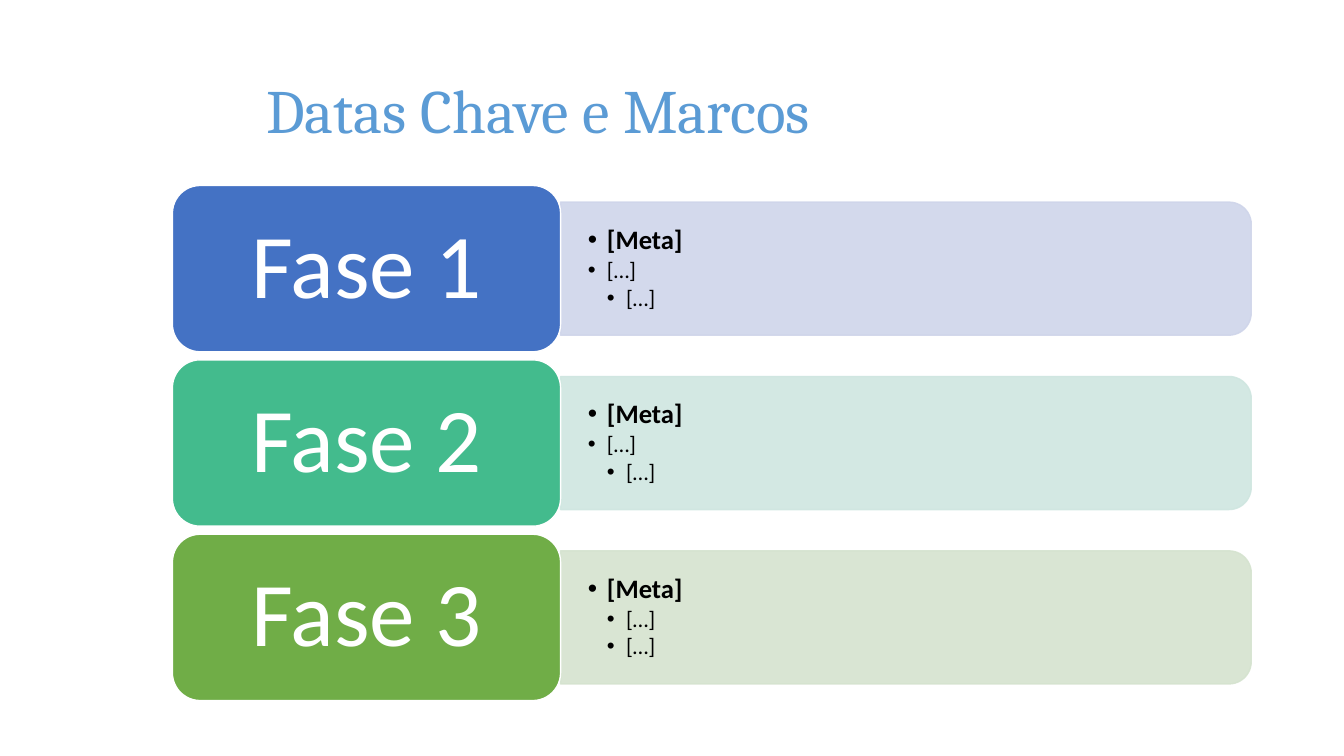
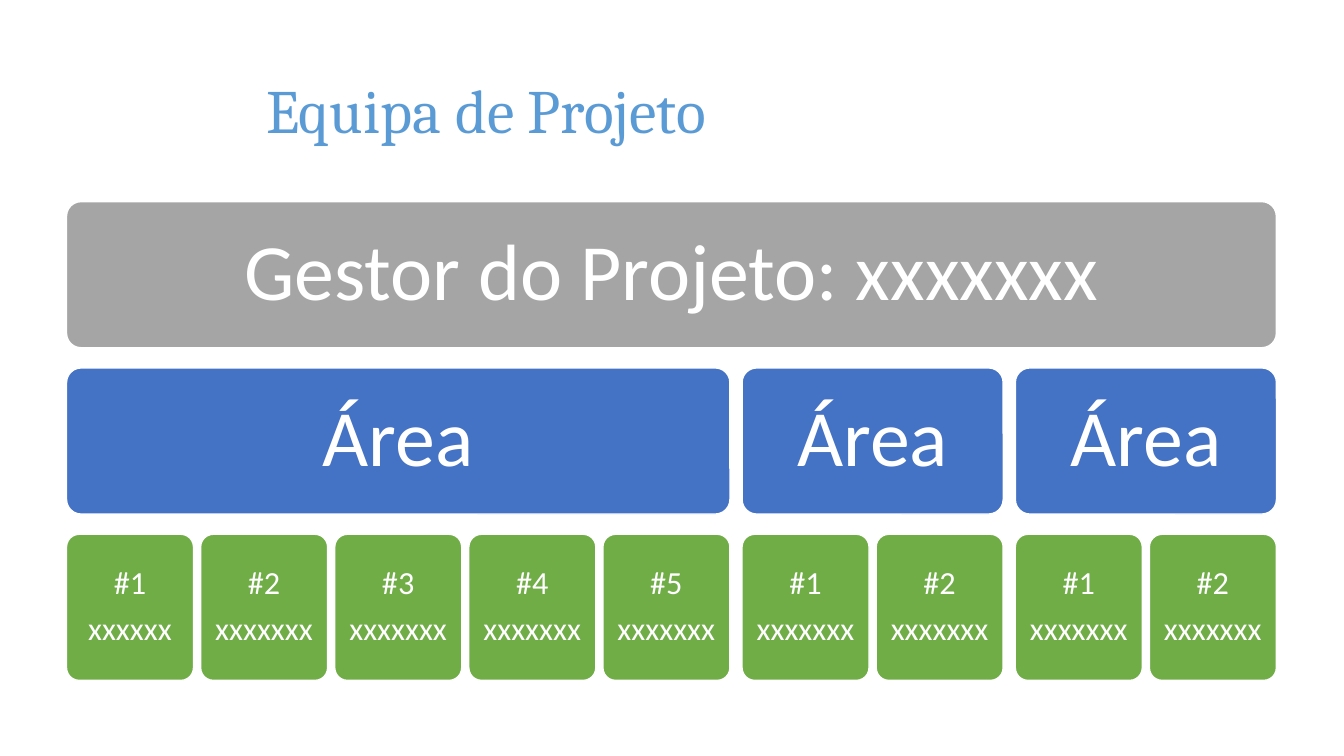
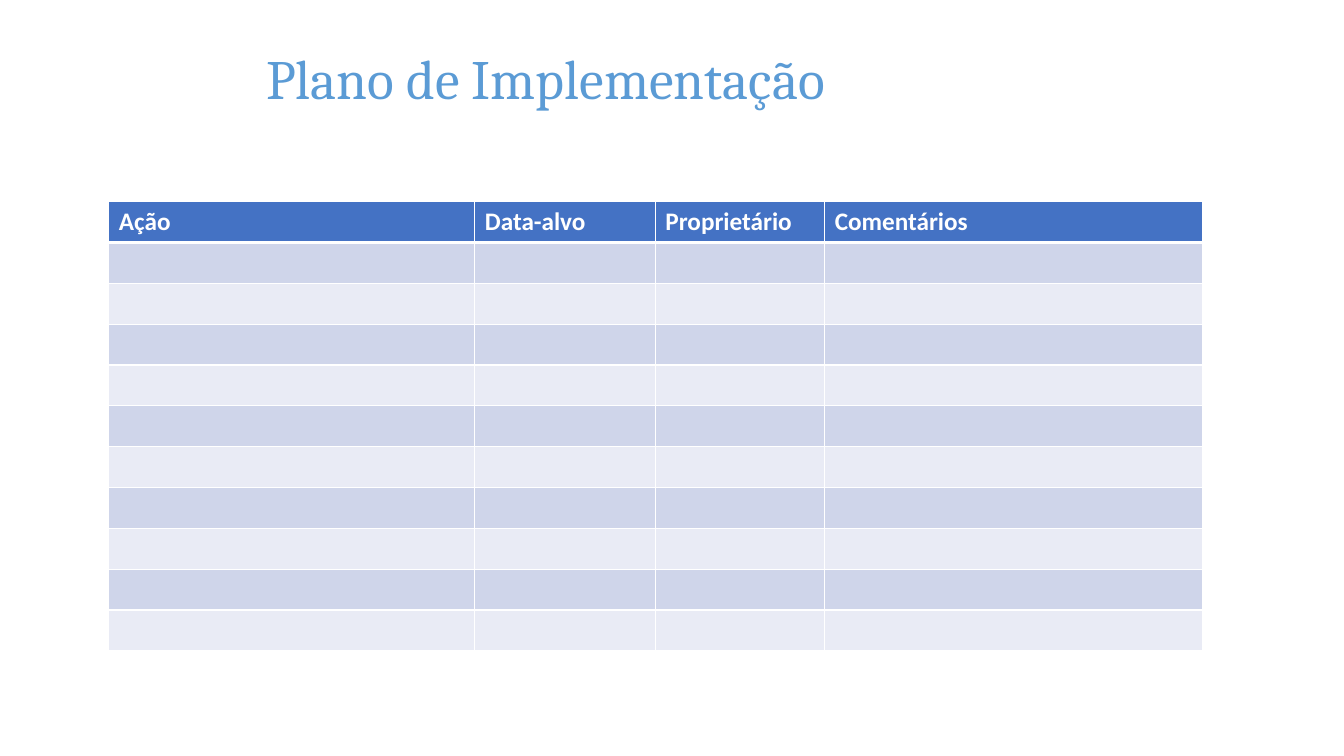
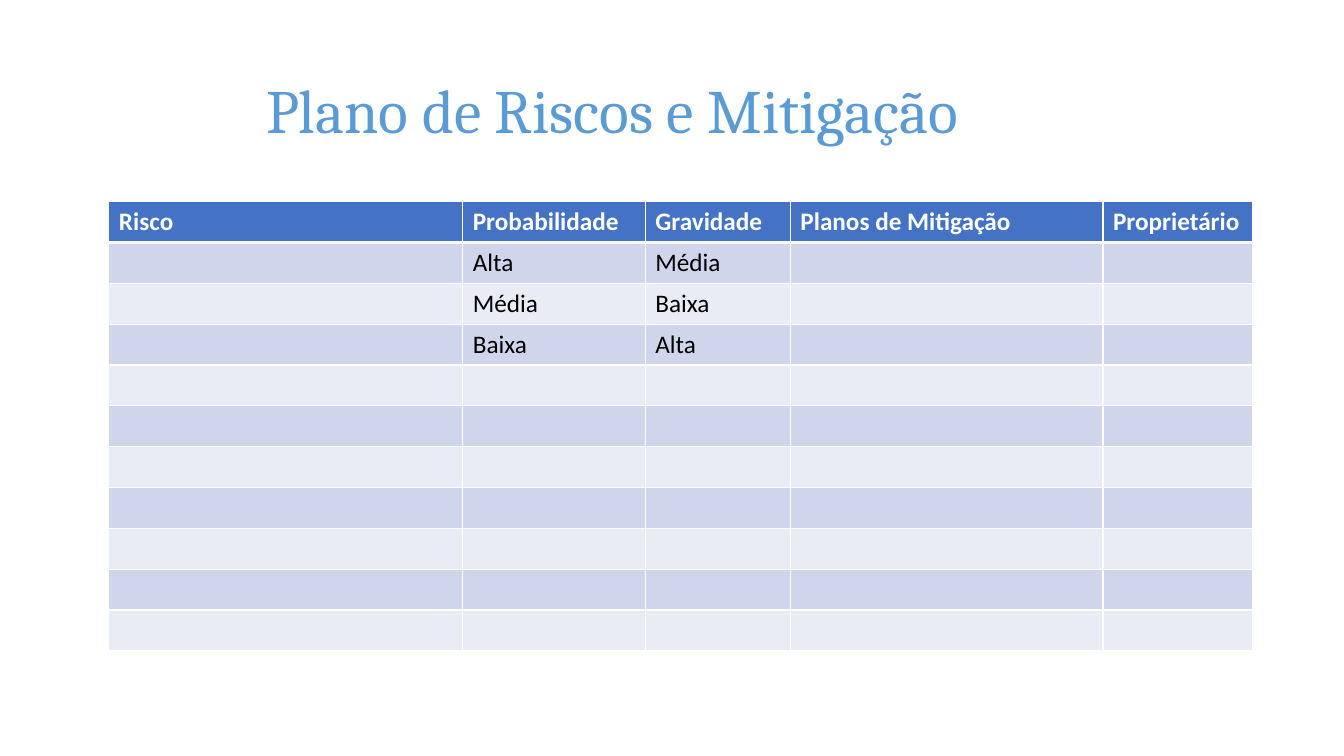
from dataclasses import dataclass
from typing import NamedTuple

from lxml.etree import SubElement
from pptx import Presentation
from pptx.dml.color import RGBColor
from pptx.enum.shapes import MSO_SHAPE as Preset
from pptx.enum.text import MSO_ANCHOR as Anchor, PP_ALIGN as Align
from pptx.oxml.ns import qn
from pptx.util import Inches, Pt

WHITE, BLACK = "FFFFFF", "000000"
TITLE_BLUE, BLUE, TEAL, GREEN, GREY = "5B9BD5", "4472C4", "43BB8D", "70AD47", "A5A5A5"
BAND_DARK, BAND_LIGHT = "CFD5EA", "E9EBF5"
TITLE_FONT, BODY_FONT = "Cambria", "Calibri"
LINE_SPACING = 0.9


class Box(NamedTuple):
    left: float
    top: float
    width: float
    height: float

    def lengths(self) -> list:
        return [Inches(side) for side in self]


class Bullet(NamedTuple):
    text: str
    size: float
    indent: float
    bold: bool = False


@dataclass
class Phase:
    name: str
    color: str
    bar_color: str
    goals: list[Bullet]


@dataclass
class Area:
    name: str
    members: list[str]


@dataclass
class Plan:
    title: str
    widths: list[float]
    header: list[str]
    entries: list[list[str]]
    title_size: float = 44
    title_lift: float = 0


GOAL = Bullet("[Meta]", 19, 0.19, True)
ITEM = Bullet("[…]", 16, 0.19)
SUBITEM = Bullet("[…]", 16, 0.38)
PHASES = [
    Phase("Fase 1", BLUE, "CFD5EA", [GOAL, ITEM, SUBITEM]),
    Phase("Fase 2", TEAL, "CFE6E0", [GOAL, ITEM, SUBITEM]),
    Phase("Fase 3", GREEN, "D5E3CF", [GOAL, SUBITEM, SUBITEM]),
]
AREAS = [
    Area("Área", ["xxxxxx"] + ["xxxxxxx"] * 4),
    Area("Área", ["xxxxxxx"] * 2),
    Area("Área", ["xxxxxxx"] * 2),
]
PLANS = [
    Plan("Plano de Implementação", [3.63, 1.79, 1.68, 3.75],
         ["Ação", "Data-alvo", "Proprietário", "Comentários"], [],
         title_size=39.6, title_lift=0.64),
    Plan("Plano de Riscos e Mitigação", [3.51, 1.81, 1.44, 3.1, 1.48],
         ["Risco", "Probabilidade", "Gravidade", "Planos de Mitigação", "Proprietário"],
         [["", "Alta", "Média"], ["", "Média", "Baixa"], ["", "Baixa", "Alta"]]),
]


def rgb(color: str) -> RGBColor:
    return RGBColor.from_string(color)


def set_font(paragraph, size: float, color: str, name: str = BODY_FONT, bold: bool = False) -> None:
    font = paragraph.font
    font.name, font.size, font.bold = name, Pt(size), bold
    font.color.rgb = rgb(color)


def set_insets(frame, horizontal: float, vertical: float) -> None:
    frame.margin_left = frame.margin_right = Inches(horizontal)
    frame.margin_top = frame.margin_bottom = Inches(vertical)


def add_text_frame(slide, box: Box):
    frame = slide.shapes.add_textbox(*box.lengths()).text_frame
    frame.word_wrap = True
    frame.vertical_anchor = Anchor.MIDDLE
    return frame


def add_slide(deck, title: str, size: float = 44, lift: float = 0):
    """Add a blank slide with its title; lift is extra room kept below the title."""
    slide = deck.slides.add_slide(deck.slide_layouts[6])
    frame = add_text_frame(slide, Box(2.54, 0.4, 9.88, 1.45))
    frame.margin_bottom = Inches(0.05 + lift)
    heading = frame.paragraphs[0]
    heading.text = title
    heading.line_spacing = LINE_SPACING
    set_font(heading, size, TITLE_BLUE, TITLE_FONT)
    return slide


def add_filled(slide, preset, box: Box, fill: str, line: str):
    shape = slide.shapes.add_shape(preset, *box.lengths())
    shape.shadow.inherit = False
    shape.fill.solid()
    shape.fill.fore_color.rgb = rgb(fill)
    shape.line.color.rgb = rgb(line)
    shape.line.width = Pt(1)
    return shape


def add_tile(slide, box: Box, color: str, text: str, size: float):
    """Add a rounded tile with centred white text, one paragraph a line."""
    tile = add_filled(slide, Preset.ROUNDED_RECTANGLE, box, color, WHITE)
    frame = tile.text_frame
    frame.word_wrap = True
    frame.vertical_anchor = Anchor.MIDDLE
    set_insets(frame, 0.05, 0.1)
    frame.text = text
    for paragraph in frame.paragraphs:
        paragraph.alignment = Align.CENTER
        paragraph.line_spacing = LINE_SPACING
        paragraph.space_after = Pt(0.35 * size)
        set_font(paragraph, size, WHITE)
    return tile


def add_bar(slide, box: Box, color: str) -> None:
    """Add a translucent bar rounded on its right side."""
    center_x, center_y = box.left + box.width / 2, box.top + box.height / 2
    upright = Box(center_x - box.height / 2, center_y - box.width / 2, box.height, box.width)
    bar = add_filled(slide, Preset.ROUND_2_SAME_RECTANGLE, upright, color, color)
    bar.rotation = 90
    for paint in bar._element.spPr.iter(qn("a:srgbClr")):
        SubElement(paint, qn("a:alpha"), val="90000")


def add_bullets(slide, box: Box, bullets: list[Bullet]) -> None:
    frame = add_text_frame(slide, box)
    set_insets(frame, 0.27, 0.14)
    for index, bullet in enumerate(bullets):
        paragraph = frame.add_paragraph() if index else frame.paragraphs[0]
        paragraph.text = bullet.text
        paragraph.line_spacing = LINE_SPACING
        paragraph.space_after = Pt(0.15 * bullet.size)
        properties = paragraph._p.get_or_add_pPr()
        properties.set("marL", str(Inches(bullet.indent)))
        properties.set("indent", str(Inches(-0.19)))
        SubElement(properties, qn("a:buFont"), typeface="Arial")
        SubElement(properties, qn("a:buChar"), char="•")
        set_font(paragraph, bullet.size, BLACK, bold=bullet.bold)


def build_phases(deck) -> None:
    slide = add_slide(deck, "Datas Chave e Marcos")
    left, top, pitch = 1.71, 1.84, 1.73
    name_width, name_height, bar_width, bar_height = 3.85, 1.65, 6.85, 1.32
    for index, phase in enumerate(PHASES):
        name_box = Box(left, top + index * pitch, name_width, name_height)
        bar_box = Box(left + name_width, name_box.top + (name_height - bar_height) / 2,
                      bar_width, bar_height)
        add_bar(slide, bar_box, phase.bar_color)
        add_bullets(slide, bar_box, phase.goals)
        add_tile(slide, name_box, phase.color, phase.name, 65)


def build_team(deck) -> None:
    slide = add_slide(deck, "Equipa de Projeto")
    left, height = 0.66, 1.45
    manager_top, area_top, member_top = (2 + 1.65 * row for row in range(3))
    member_width, member_gap, area_gap = 1.26, 0.07, 0.12

    def add_role(x: float, top: float, width: float, color: str, text: str, size: float) -> None:
        tile = add_tile(slide, Box(x, top, width, height), color, text, size)
        tile.adjustments[0] = 0.1

    add_role(left, manager_top, 12, GREY, "Gestor do Projeto: xxxxxxx", 57)
    for area in AREAS:
        count = len(area.members)
        width = count * member_width + (count - 1) * member_gap
        add_role(left, area_top, width, BLUE, area.name, 57)
        for index, member in enumerate(area.members):
            add_role(left + index * (member_width + member_gap), member_top, member_width,
                     GREEN, f"#{index + 1}\n{member}", 23)
        left += width + area_gap


def set_borders(cell, top: float, bottom: float) -> None:
    properties = cell._tc.get_or_add_tcPr()
    for side, width in (("L", 1), ("R", 1), ("T", top), ("B", bottom)):
        line = SubElement(properties, qn(f"a:ln{side}"), w=str(Pt(width)))
        SubElement(SubElement(line, qn("a:solidFill")), qn("a:srgbClr"), val=WHITE)


def build_plan(deck, plan: Plan) -> None:
    slide = add_slide(deck, plan.title, plan.title_size, plan.title_lift)
    row_count = 11
    box = Box(1.08, 2, sum(plan.widths), 4.46)
    table = slide.shapes.add_table(row_count, len(plan.widths), *box.lengths()).table
    for column, width in zip(table.columns, plan.widths):
        column.width = Inches(width)
    texts = [plan.header, *plan.entries]
    for row_index, row in enumerate(table.rows):
        is_header = row_index == 0
        fill = BLUE if is_header else BAND_DARK if row_index % 2 else BAND_LIGHT
        row_texts = texts[row_index] if row_index < len(texts) else []
        for column_index, cell in enumerate(row.cells):
            set_borders(cell, top=3 if row_index == 1 else 1, bottom=3 if is_header else 1)
            cell.fill.solid()
            cell.fill.fore_color.rgb = rgb(fill)
            if column_index < len(row_texts):
                cell.text = row_texts[column_index]
            set_font(cell.text_frame.paragraphs[0], 18, WHITE if is_header else BLACK,
                     bold=is_header)


def main() -> None:
    deck = Presentation()
    deck.slide_width, deck.slide_height = Inches(13.33), Inches(7.5)
    build_phases(deck)
    build_team(deck)
    for plan in PLANS:
        build_plan(deck, plan)
    deck.save("out.pptx")


if __name__ == "__main__":
    main()
